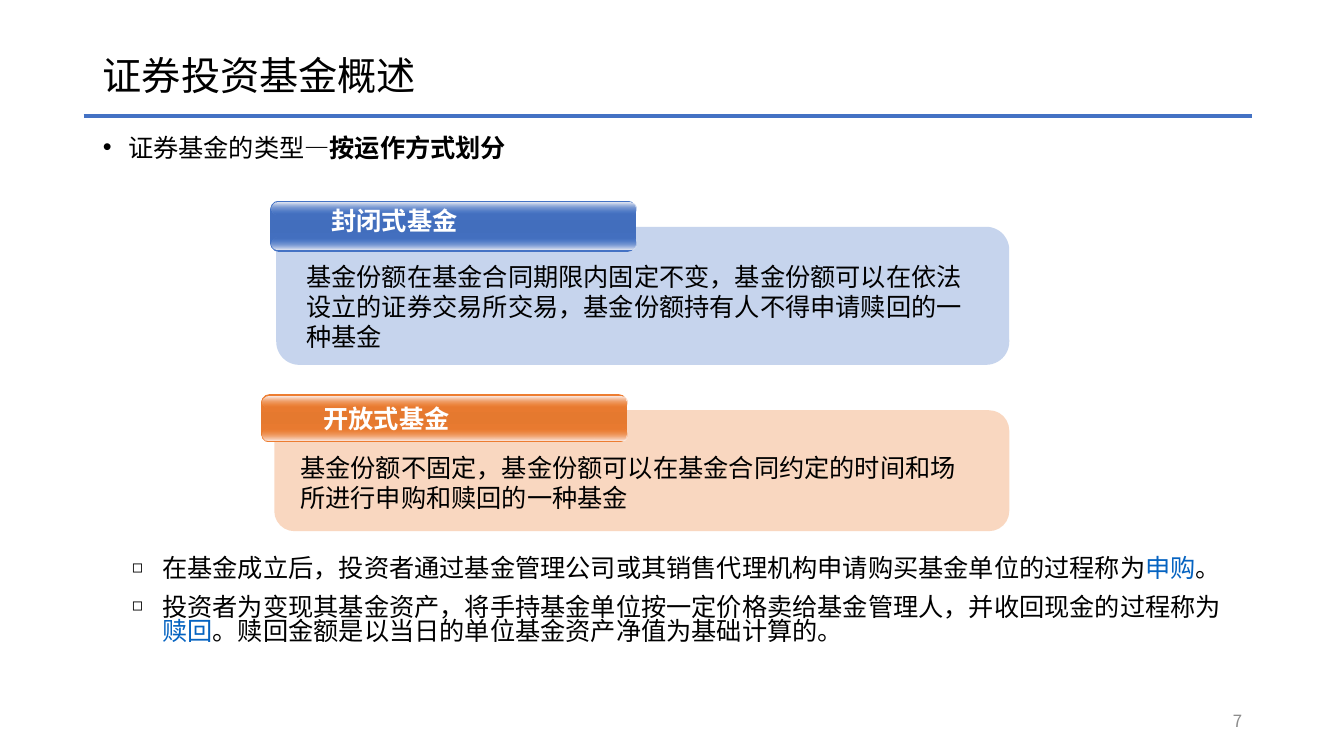
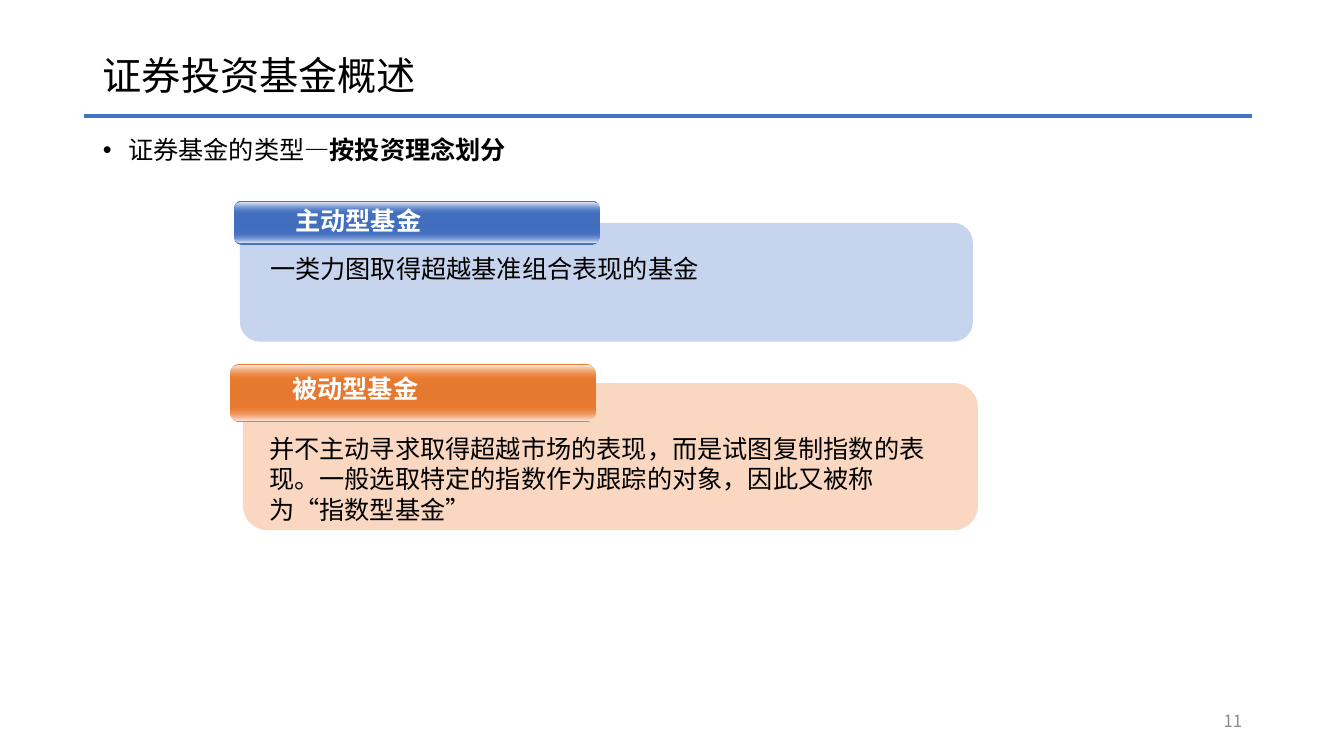
from dataclasses import dataclass

from lxml.etree import SubElement
from pptx import Presentation
from pptx.dml.color import RGBColor
from pptx.enum.lang import MSO_LANGUAGE_ID as Language
from pptx.enum.shapes import MSO_CONNECTOR as Connector, MSO_SHAPE as Preset
from pptx.enum.text import MSO_ANCHOR as Anchor, MSO_AUTO_SIZE as AutoSize, PP_ALIGN as Align
from pptx.oxml.ns import qn
from pptx.util import Inches, Pt


@dataclass(frozen=True)
class Theme:
    font: str = "Noto Sans CJK SC"
    text: str = "000000"
    white: str = "FFFFFF"
    rule: str = "4472C4"
    keyword: str = "0563C1"
    muted: str = "8C8C8C"
    title_size: int = 28
    body_size: int = 18
    number_size: int = 12
    panel_alpha: int = 30


@dataclass(frozen=True)
class CardStyle:
    color: str
    middle: str
    top_shine: str
    bottom_shine: str
    bar_shift: float
    label_shift: tuple
    text_shift: float
    text_width: float


@dataclass(frozen=True)
class Card:
    style: CardStyle
    label: str
    text: str
    box: tuple
    bar_rise: float
    bar_height: float
    text_drop: float


THEME = Theme()
BLUE = CardStyle("4472C4", "426EBD", "E6E9F3", "E9EBF5", -0.06, (0.51, 0), 0.2, 6.88)
ORANGE = CardStyle("ED7D31", "E5792F", "FCF0ED", "FCEDE9", -0.13, (0.52, 0.04), 0.16, 6.75)
BAR_WIDTH = 3.63
TITLE_BOX = (0.92, 0.4, 11.5, 0.74)
BODY_BOX = (0.92, 1.32, 11.5, 5.44)
NUMBER_BOX = (9.42, 6.95, 3, 0.4)


def inches(box):
    return [Inches(value) for value in box]


def add_run(paragraph, text, size=THEME.body_size, color=THEME.text, bold=False):
    run = paragraph.add_run()
    run.text = text
    font = run.font
    font.size, font.bold, font.name = Pt(size), bold, THEME.font
    font.language_id = Language.SIMPLIFIED_CHINESE
    font.color.rgb = RGBColor.from_string(color)
    east_asian = SubElement(font._element, qn("a:ea"))
    east_asian.set("typeface", THEME.font)


def add_text_box(shapes, box, text, wrap=True, anchor=Anchor.TOP, align=Align.LEFT, **text_format):
    frame = shapes.add_textbox(*inches(box)).text_frame
    frame.word_wrap, frame.vertical_anchor = wrap, anchor
    frame.auto_size = AutoSize.NONE
    frame.paragraphs[0].alignment = align
    add_run(frame.paragraphs[0], text, **text_format)


def set_bullet(paragraph, character, margin, hanging, percent=100):
    properties = paragraph._p.get_or_add_pPr()
    properties.set("marL", str(Inches(margin)))
    properties.set("indent", str(-Inches(hanging)))
    SubElement(properties, qn("a:buSzPct")).set("val", str(percent * 1000))
    SubElement(properties, qn("a:buChar")).set("char", character)


def set_alpha(color_element, percent):
    SubElement(color_element, qn("a:alpha")).set("val", str(percent * 1000))


def set_gradient(shape, stops):
    """Fill from top to bottom with (position, colour, opacity) stops."""
    shape.fill.gradient()
    shape.fill.gradient_angle = 270
    stop_list = shape._element.spPr.find(qn("a:gradFill")).find(qn("a:gsLst"))
    for old_stop in list(stop_list):
        stop_list.remove(old_stop)
    for position, color, opacity in stops:
        stop = SubElement(stop_list, qn("a:gs"))
        stop.set("pos", str(position * 1000))
        color_element = SubElement(stop, qn("a:srgbClr"))
        color_element.set("val", color)
        if opacity < 100:
            set_alpha(color_element, opacity)


def add_rounded(shapes, box, radius):
    shape = shapes.add_shape(Preset.ROUNDED_RECTANGLE, *inches(box))
    shape.adjustments[0] = radius
    shape.shadow.inherit = False
    shape.line.fill.background()
    return shape


def add_card(slide, card):
    style = card.style
    left, top, width, height = card.box
    shapes = slide.shapes.add_group_shape().shapes

    # Translucent panel
    panel = add_rounded(shapes, card.box, 0.167)
    panel.fill.solid()
    panel.fill.fore_color.rgb = RGBColor.from_string(style.color)
    set_alpha(panel._element.spPr.find(qn("a:solidFill"))[0], THEME.panel_alpha)

    # Glossy heading bar
    bar_left, bar_top = left + style.bar_shift, top - card.bar_rise
    bar = add_rounded(shapes, (bar_left, bar_top, BAR_WIDTH, card.bar_height), 0.175)
    set_gradient(bar, [(0, style.color, 100), (50, style.middle, 100), (100, style.color, 100)])
    shine_height = 0.24 * card.bar_height
    shines = [
        (card.bar_height - shine_height - 0.02,
         [(0, style.color, 0), (100, style.bottom_shine, 100)]),
        (0.02, [(0, style.top_shine, 100), (100, style.color, 0)]),
    ]
    for drop, stops in shines:
        shine_box = (bar_left + 0.01, bar_top + drop, BAR_WIDTH - 0.01, shine_height)
        set_gradient(add_rounded(shapes, shine_box, 0.5), stops)

    # Heading and explanation
    label_left, label_drop = style.label_shift
    add_text_box(shapes, (bar_left + label_left, bar_top + label_drop, 1.47, 0.4),
                 card.label, wrap=False, color=THEME.white, bold=True)
    add_text_box(shapes, (left + style.text_shift, top + card.text_drop,
                          style.text_width, height - card.text_drop), card.text)


def add_title(slide, text):
    frame = slide.shapes.title.text_frame
    frame.auto_size, frame.vertical_anchor = AutoSize.NONE, Anchor.MIDDLE
    paragraph = frame.paragraphs[0]
    paragraph.alignment, paragraph.line_spacing = Align.LEFT, 0.9
    add_run(paragraph, text, size=THEME.title_size)

    # Rule under the title
    rule = slide.shapes.add_connector(Connector.STRAIGHT, *inches((0.83, 1.15, 12.42, 1.15)))
    rule.line.color.rgb = RGBColor.from_string(THEME.rule)
    rule.line.width = Pt(3)
    SubElement(rule._element.spPr, qn("a:effectLst"))


def add_body(slide, topic, notes, line_spacing):
    frame = slide.placeholders[1].text_frame
    frame.auto_size, frame.vertical_anchor = AutoSize.NONE, Anchor.TOP

    # Topic line
    paragraph = frame.paragraphs[0]
    paragraph.line_spacing, paragraph.space_before = line_spacing, Pt(0)
    set_bullet(paragraph, "•", 0.25, 0.25)
    add_run(paragraph, "证券基金的类型—")
    add_run(paragraph, topic, bold=True)

    # Notes below the cards; every second piece is a keyword
    for index, pieces in enumerate(notes):
        paragraph = frame.add_paragraph()
        paragraph.line_spacing = line_spacing
        paragraph.space_before = Pt(10 if index else 283)
        set_bullet(paragraph, "◻", 0.59, 0.3, percent=70)
        for position, piece in enumerate(pieces):
            add_run(paragraph, piece, color=THEME.keyword if position % 2 else THEME.text)


def add_fund_slide(presentation, layout, number, topic, cards, notes=(), line_spacing=0.9):
    slide = presentation.slides.add_slide(layout)
    add_title(slide, "证券投资基金概述")
    add_body(slide, topic, notes, line_spacing)
    add_text_box(slide.shapes, NUMBER_BOX, str(number), anchor=Anchor.MIDDLE,
                 align=Align.RIGHT, size=THEME.number_size, color=THEME.muted)
    for card in cards:
        add_card(slide, card)


def main():
    presentation = Presentation()
    presentation.slide_width, presentation.slide_height = Inches(13.33), Inches(7.5)
    layout = presentation.slide_layouts[1]
    for placeholder, box in zip(layout.placeholders, (TITLE_BOX, BODY_BOX)):
        placeholder.left, placeholder.top, placeholder.width, placeholder.height = inches(box)

    # Funds by way of operation
    add_fund_slide(
        presentation, layout, 7, "按运作方式划分",
        [
            Card(BLUE, "封闭式基金",
                 "基金份额在基金合同期限内固定不变，基金份额可以在依法设立的证券交易所交易，"
                 "基金份额持有人不得申请赎回的一种基金",
                 (2.74, 2.25, 7.27, 1.37), bar_rise=0.26, bar_height=0.51, text_drop=0.29),
            Card(ORANGE, "开放式基金",
                 "基金份额不固定，基金份额可以在基金合同约定的时间和场所进行申购和赎回的一种基金",
                 (2.72, 4.07, 7.29, 1.2), bar_rise=0.16, bar_height=0.48, text_drop=0.37),
        ],
        notes=[
            ("在基金成立后，投资者通过基金管理公司或其销售代理机构申请购买基金单位的过程称为",
             "申购", "。"),
            ("投资者为变现其基金资产，将手持基金单位按一定价格卖给基金管理人，并收回现金的过程称为",
             "赎回", "。赎回金额是以当日的单位基金资产净值为基础计算的。"),
        ],
        line_spacing=0.8)

    # Funds by investment idea
    add_fund_slide(
        presentation, layout, 11, "按投资理念划分",
        [
            Card(BLUE, "主动型基金", "一类力图取得超越基准组合表现的基金",
                 (2.38, 2.21, 7.27, 1.18), bar_rise=0.22, bar_height=0.44, text_drop=0.25),
            Card(ORANGE, "被动型基金",
                 "并不主动寻求取得超越市场的表现，而是试图复制指数的表现。"
                 "一般选取特定的指数作为跟踪的对象，因此又被称为“指数型基金”",
                 (2.41, 3.8, 7.29, 1.46), bar_rise=0.19, bar_height=0.58, text_drop=0.45),
        ])

    presentation.save("out.pptx")


if __name__ == "__main__":
    main()
